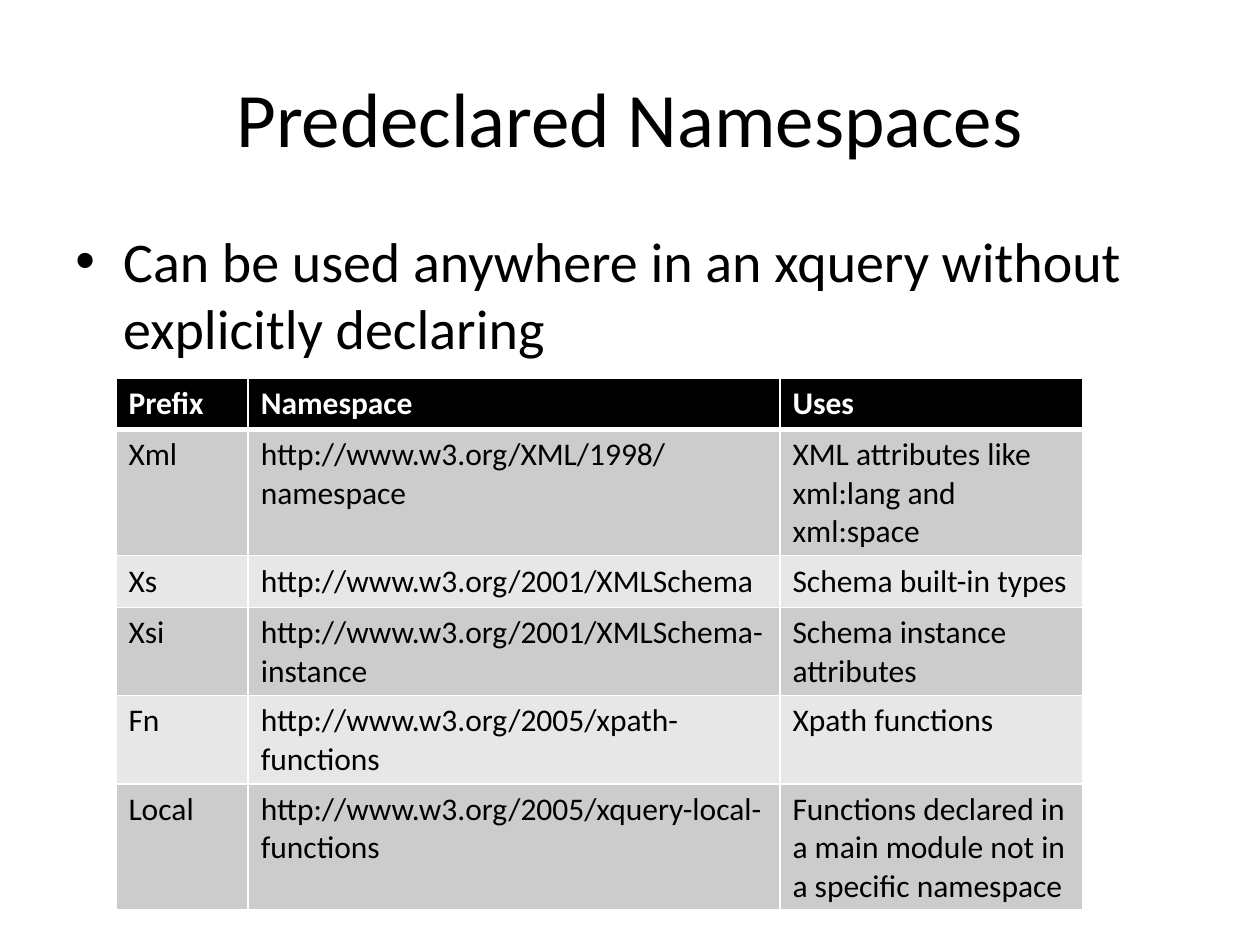
from lxml.etree import SubElement
from pptx import Presentation
from pptx.dml.color import RGBColor
from pptx.enum.text import MSO_ANCHOR, PP_ALIGN
from pptx.oxml.ns import qn
from pptx.util import Inches, Pt

FONT = "Calibri"
BLACK, WHITE = "000000", "FFFFFF"
BANDS = ("CCCCCC", "E7E7E7")
COLUMN_WIDTHS = (1.05, 4.22, 2.4)
ROW_HEIGHT = 0.41
ROWS = (
    ("Prefix", "Namespace", "Uses"),
    ("Xml", "http://www.w3.org/XML/1998/namespace", "XML attributes like xml:lang and xml:space"),
    ("Xs", "http://www.w3.org/2001/XMLSchema", "Schema built-in types"),
    ("Xsi", "http://www.w3.org/2001/XMLSchema-instance", "Schema instance attributes"),
    ("Fn", "http://www.w3.org/2005/xpath-functions", "Xpath functions"),
    ("Local", "http://www.w3.org/2005/xquery-local-functions",
     "Functions declared in a main module not in a specific namespace"),
)


def color(value):
    """Turn a hex string into a colour."""
    return RGBColor.from_string(value)


def style(para, size, value=BLACK, bold=False):
    """Set the font of a paragraph."""
    para.font.name = FONT
    para.font.size = Pt(size)
    para.font.bold = bold
    para.font.color.rgb = color(value)


def place(shape, left, top, width, height):
    """Move and size a shape, in inches."""
    shape.left, shape.top = Inches(left), Inches(top)
    shape.width, shape.height = Inches(width), Inches(height)


def set_title(page, text):
    """Fill and format the title placeholder."""
    title = page.shapes.title
    place(title, 0.5, 0.3, 9, 1.25)
    frame = title.text_frame
    frame.text = text
    frame.vertical_anchor = MSO_ANCHOR.MIDDLE
    para = frame.paragraphs[0]
    para.alignment = PP_ALIGN.CENTER
    style(para, 44)


def add_bullet(page, text):
    """Add a text box holding one bulleted paragraph."""
    box = page.shapes.add_textbox(Inches(0.5), Inches(1.75), Inches(9), Inches(4.95))
    frame = box.text_frame
    frame.word_wrap = True
    para = frame.paragraphs[0]
    para.text = text
    para.space_before = Pt(6.4)
    style(para, 32)
    properties = para._p.get_or_add_pPr()
    properties.set("marL", str(Inches(0.38)))
    properties.set("indent", str(Inches(-0.38)))
    SubElement(properties, qn("a:buFont"), typeface="Arial")
    SubElement(properties, qn("a:buChar"), char="•")


def add_borders(cell, top, bottom):
    """Draw white borders round a cell, with widths in points."""
    properties = cell._tc.get_or_add_tcPr()
    for side, width in (("L", 1), ("R", 1), ("T", top), ("B", bottom)):
        line = SubElement(properties, qn(f"a:ln{side}"), w=str(Pt(width)))
        fill = SubElement(line, qn("a:solidFill"))
        SubElement(fill, qn("a:srgbClr"), val=WHITE)


def fill_cell(cell, text, row):
    """Write and format one table cell according to its row."""
    header = row == 0
    cell.text = text
    style(cell.text_frame.paragraphs[0], 18, WHITE if header else BLACK, header)
    add_borders(cell, 3 if row == 1 else 1, 3 if header else 1)
    cell.fill.solid()
    cell.fill.fore_color.rgb = color(BLACK if header else BANDS[(row - 1) % 2])


def add_namespace_table(page):
    """Add the table of prefixes, namespaces and uses."""
    frame = page.shapes.add_table(
        len(ROWS), len(COLUMN_WIDTHS), Inches(0.92), Inches(3),
        Inches(sum(COLUMN_WIDTHS)), Inches(ROW_HEIGHT * len(ROWS)))
    table = frame.table
    for column, width in zip(table.columns, COLUMN_WIDTHS):
        column.width = Inches(width)
    for row, texts in enumerate(ROWS):
        table.rows[row].height = Inches(ROW_HEIGHT)
        for column, text in enumerate(texts):
            fill_cell(table.cell(row, column), text, row)


def main():
    """Build the slide and save it."""
    deck = Presentation()
    deck.slide_width, deck.slide_height = Inches(10), Inches(7.5)
    page = deck.slides.add_slide(deck.slide_layouts[5])
    set_title(page, "Predeclared Namespaces")
    add_bullet(page, "Can be used anywhere in an xquery without explicitly declaring")
    add_namespace_table(page)
    deck.save("out.pptx")


if __name__ == "__main__":
    main()
